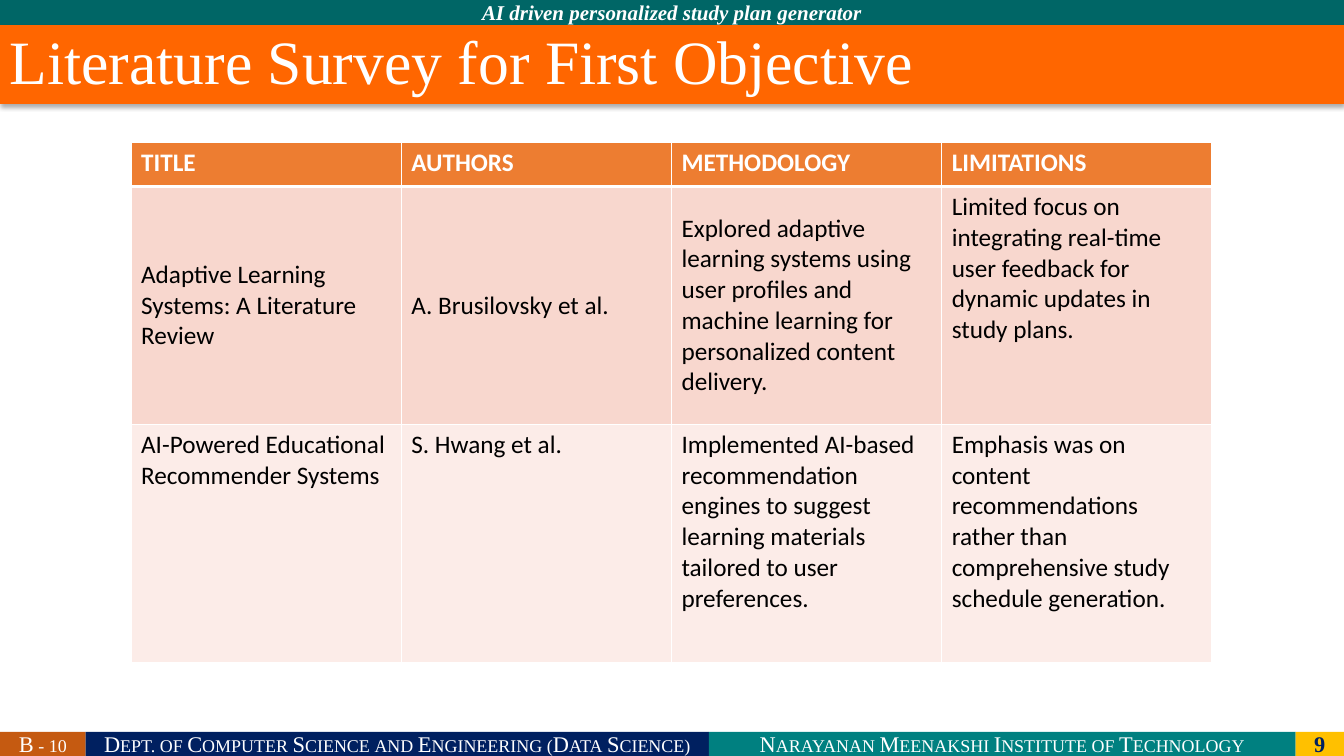
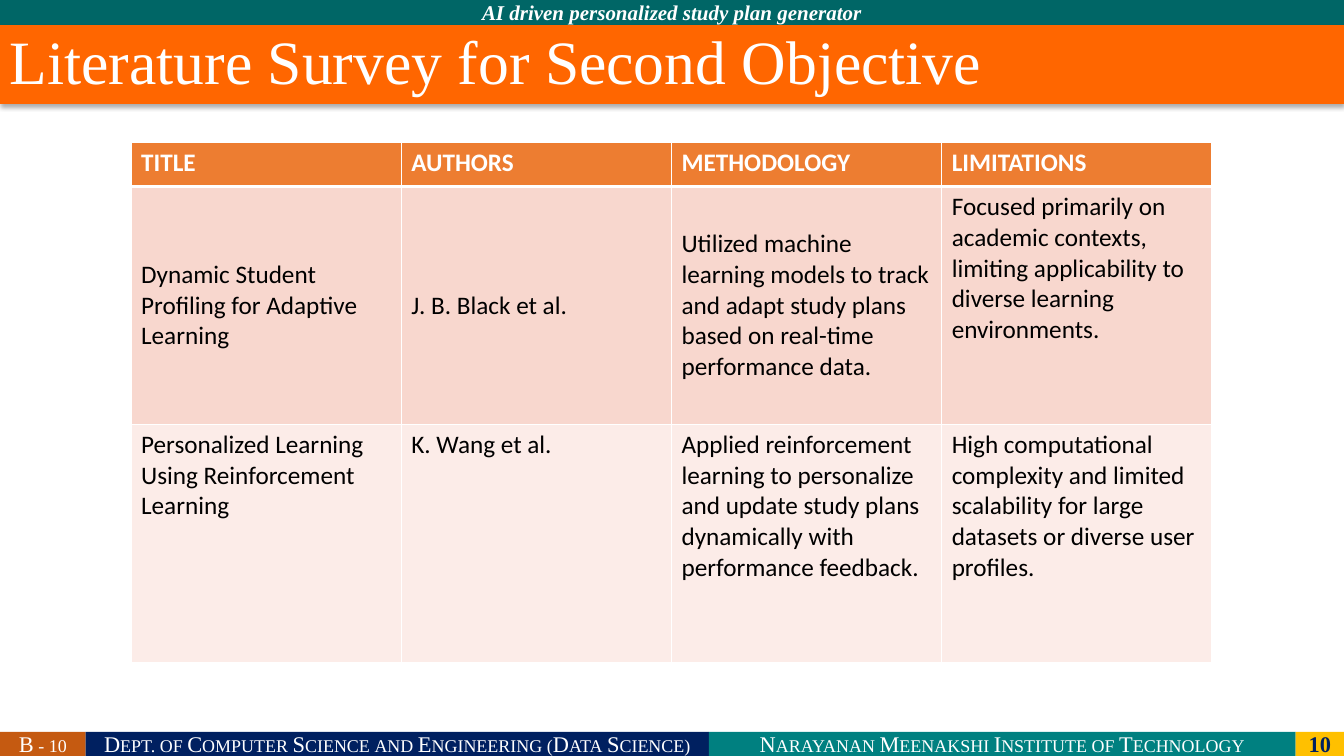
import pptx
import pptx.dml.color
import pptx.enum.shapes
import pptx.enum.text
import pptx.oxml
import pptx.oxml.ns
import pptx.util

Inches = pptx.util.Inches
Pt = pptx.util.Pt
ALIGN = pptx.enum.text.PP_ALIGN
ANCHOR = pptx.enum.text.MSO_ANCHOR

WIDTH, HEIGHT = 13.33, 7.5
SERIF, SANS = "Times New Roman", "Calibri"
WHITE, BLACK, NAVY = "FFFFFF", "000000", "002060"
TEAL, DARK_TEAL, GOLD, RUST = "008080", "006666", "FFC000", "C55A11"
TITLE_FILL, HEADER_FILL = "FF6600", "ED7D31"
BODY_FILLS = ["F8D7CE", "FCECE8"]

BANNER = "AI driven personalized study plan generator"
BANNER_HEIGHT, TITLE_HEIGHT, FOOTER_HEIGHT = 0.25, 0.78, 0.24
# Text, width, fill
FOOTER = [
    ("B - 10", 0.85, RUST),
    ("Dept. of Computer Science and Engineering (Data Science)", 6.18, NAVY),
    ("Narayanan Meenakshi Institute of Technology", 5.82, TEAL),
]

TABLE_LEFT, TABLE_TOP = 1.3, 1.41
COLUMN_WIDTH, ROW_HEIGHTS = 2.68, [0.44, 2.36, 2.36]
HEADERS = ["TITLE", "AUTHORS", "METHODOLOGY", "LIMITATIONS"]

SLIDES = [
    {
        "number": 9,
        "title": "Literature Survey for First Objective",
        "papers": [
            ["Adaptive Learning Systems: A Literature Review",
             "A. Brusilovsky et al.",
             "Explored adaptive learning systems using user profiles and machine "
             "learning for personalized content delivery.",
             "Limited focus on integrating real-time user feedback for dynamic "
             "updates in study plans."],
            ["AI-Powered Educational Recommender Systems",
             "S. Hwang et al.",
             "Implemented AI-based recommendation engines to suggest learning "
             "materials tailored to user preferences.",
             "Emphasis was on content recommendations rather than comprehensive "
             "study schedule generation."],
        ],
    },
    {
        "number": 10,
        "title": "Literature Survey for Second Objective",
        "papers": [
            ["Dynamic Student Profiling for Adaptive Learning",
             "J. B. Black et al.",
             "Utilized machine learning models to track and adapt study plans "
             "based on real-time performance data.",
             "Focused primarily on academic contexts, limiting applicability to "
             "diverse learning environments."],
            ["Personalized Learning Using Reinforcement Learning",
             "K. Wang et al.",
             "Applied reinforcement learning to personalize and update study "
             "plans dynamically with performance feedback.",
             "High computational complexity and limited scalability for large "
             "datasets or diverse user profiles."],
        ],
    },
]


def paint(fill, color):
    fill.solid()
    fill.fore_color.rgb = pptx.dml.color.RGBColor.from_string(color)


def add_run(paragraph, text, size, font, color, bold=False, italic=False,
            small_caps=False):
    run = paragraph.add_run()
    run.text = text
    run.font.size, run.font.name = Pt(size), font
    run.font.bold, run.font.italic = bold, italic
    paint(run.font.fill, color)
    if small_caps:
        run._r.get_or_add_rPr().set("cap", "small")


def add_band(slide, left, top, width, height, fill, text, size,
             color=WHITE, align=ALIGN.CENTER, **style):
    band = slide.shapes.add_shape(
        pptx.enum.shapes.MSO_SHAPE.RECTANGLE,
        Inches(left), Inches(top), Inches(width), Inches(height))
    band.shadow.inherit = False
    paint(band.fill, fill)
    band.line.fill.background()
    band.text_frame.vertical_anchor = ANCHOR.MIDDLE
    paragraph = band.text_frame.paragraphs[0]
    paragraph.alignment = align
    add_run(paragraph, text, size, SERIF, color, **style)
    return band


def add_frame(slide, number):
    """Add the top banner and the footer bands."""
    add_band(slide, 0, 0, WIDTH, BANNER_HEIGHT, DARK_TEAL, BANNER, 15,
             bold=True, italic=True)
    left, top = 0, HEIGHT - FOOTER_HEIGHT
    for text, width, fill in FOOTER:
        add_band(slide, left, top, width, FOOTER_HEIGHT, fill, text, 16,
                 small_caps=True)
        left += width
    add_band(slide, left, top, WIDTH - left, FOOTER_HEIGHT, GOLD, str(number),
             16, color=NAVY, bold=True)


def add_title(slide, text):
    title = add_band(slide, 0, BANNER_HEIGHT, WIDTH, TITLE_HEIGHT, TITLE_FILL,
                     text, 44, align=ALIGN.LEFT)
    title.text_frame.paragraphs[0].line_spacing = 0.9
    effects = title._element.spPr.find(pptx.oxml.ns.qn("a:effectLst"))
    effects.append(pptx.oxml.parse_xml(
        f'<a:outerShdw {pptx.oxml.ns.nsdecls("a")} blurRad="{Pt(3.5)}" '
        f'dist="{Pt(2.2)}" dir="5400000" algn="t" rotWithShape="0">'
        f'<a:srgbClr val="{BLACK}"><a:alpha val="32000"/></a:srgbClr>'
        '</a:outerShdw>'))


def add_borders(cell, top, bottom):
    """Draw white cell borders; top and bottom are widths in points."""
    properties = cell._tc.get_or_add_tcPr()
    for side, width in (("L", 1), ("R", 1), ("T", top), ("B", bottom)):
        properties.append(pptx.oxml.parse_xml(
            f'<a:ln{side} {pptx.oxml.ns.nsdecls("a")} w="{Pt(width)}">'
            f'<a:solidFill><a:srgbClr val="{WHITE}"/></a:solidFill>'
            f'</a:ln{side}>'))


def add_survey_table(slide, papers):
    rows = [HEADERS] + papers
    table = slide.shapes.add_table(
        len(rows), len(HEADERS), Inches(TABLE_LEFT), Inches(TABLE_TOP),
        Inches(COLUMN_WIDTH * len(HEADERS)), Inches(sum(ROW_HEIGHTS))).table
    for column in table.columns:
        column.width = Inches(COLUMN_WIDTH)
    for row_index, texts in enumerate(rows):
        table.rows[row_index].height = Inches(ROW_HEIGHTS[row_index])
        header = row_index == 0
        fill = HEADER_FILL if header else BODY_FILLS[row_index - 1]
        for column_index, text in enumerate(texts):
            cell = table.cell(row_index, column_index)
            add_borders(cell, 3 if row_index == 1 else 1, 3 if header else 1)
            paint(cell.fill, fill)
            if row_index == 1 and column_index < len(HEADERS) - 1:
                cell.vertical_anchor = ANCHOR.MIDDLE
            add_run(cell.text_frame.paragraphs[0], text, 18, SANS,
                    WHITE if header else BLACK, bold=header)


def main():
    presentation = pptx.Presentation()
    presentation.slide_width = Inches(WIDTH)
    presentation.slide_height = Inches(HEIGHT)
    for content in SLIDES:
        slide = presentation.slides.add_slide(presentation.slide_layouts[6])
        add_frame(slide, content["number"])
        add_title(slide, content["title"])
        add_survey_table(slide, content["papers"])
    presentation.save("out.pptx")


if __name__ == "__main__":
    main()
